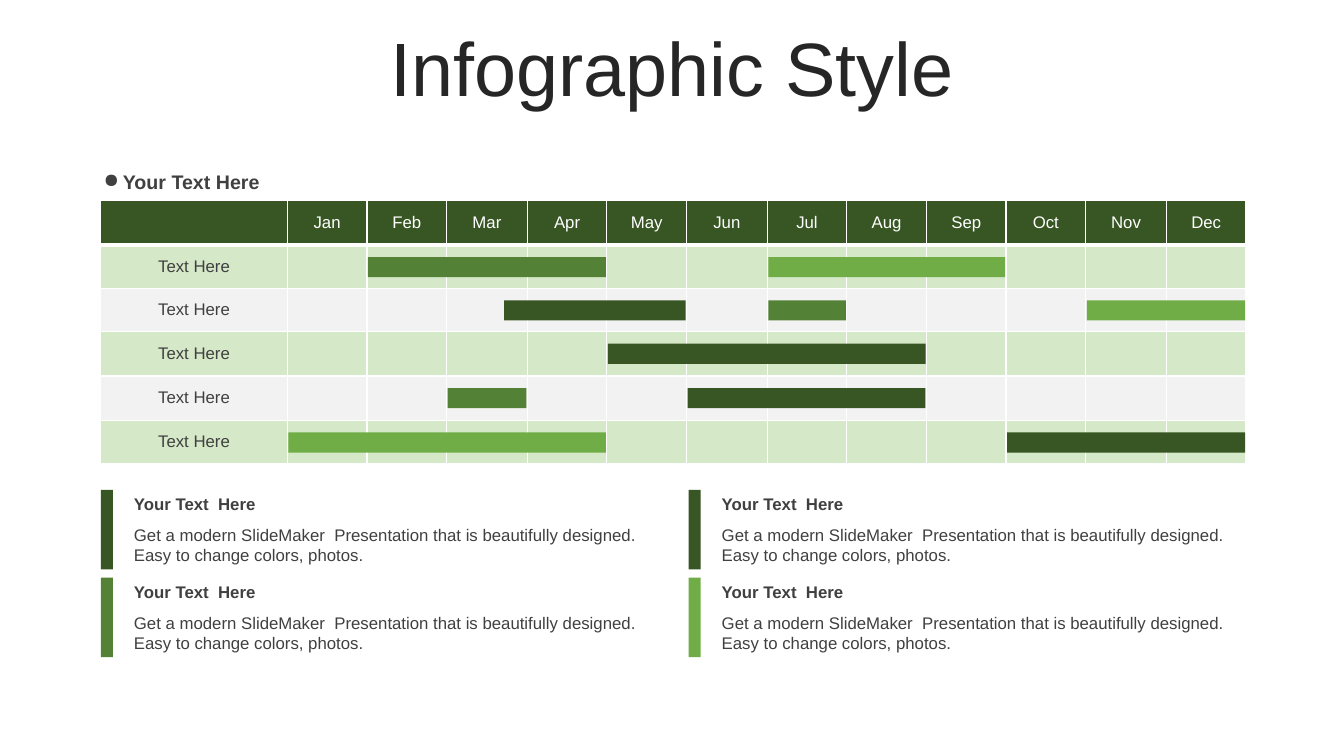
from dataclasses import dataclass

from pptx import Presentation
from pptx.dml.color import RGBColor
from pptx.enum.shapes import MSO_SHAPE as Preset
from pptx.enum.text import MSO_ANCHOR as Anchor, PP_ALIGN as Align
from pptx.oxml.ns import qn
from pptx.slide import Slide
from pptx.table import _Cell as Cell
from pptx.text.text import _Paragraph as Paragraph, TextFrame
from pptx.util import Pt
from lxml.etree import SubElement

PX = 9144  # 100 px to the inch
FONT = "Arial"

WHITE = RGBColor(0xFF, 0xFF, 0xFF)
TITLE_INK = RGBColor(0x26, 0x26, 0x26)
INK = RGBColor(0x40, 0x40, 0x40)
DARK_GREEN = RGBColor(0x37, 0x56, 0x23)
MID_GREEN = RGBColor(0x53, 0x81, 0x35)
LIGHT_GREEN = RGBColor(0x70, 0xAD, 0x47)
PALE_GREEN = RGBColor(0xD5, 0xE8, 0xC8)
PALE_GREY = RGBColor(0xF2, 0xF2, 0xF2)

MONTHS = ["Jan", "Feb", "Mar", "Apr", "May", "Jun",
          "Jul", "Aug", "Sep", "Oct", "Nov", "Dec"]
TASKS = ["Text Here"] * 5
TABLE_LEFT, TABLE_TOP, TABLE_WIDTH, TABLE_HEIGHT = 100, 199, 1136, 261
TASK_WIDTH = 185
BAR_HEIGHT, BAR_OFFSET = 20, 12
NOTE_TITLE = "Your Text  Here"
NOTE_BODY = ("Get a modern SlideMaker  Presentation that is beautifully designed. "
             "Easy to change colors, photos.")


@dataclass(frozen=True)
class Bar:
    """A task's time span, counted in months from the start of January."""
    row: int
    start: float
    end: float
    color: RGBColor


@dataclass(frozen=True)
class Note:
    left: int
    top: int
    color: RGBColor


BARS = [
    Bar(1, 1, 4, MID_GREEN),
    Bar(1, 6, 9, LIGHT_GREEN),
    Bar(2, 2.7, 5, DARK_GREEN),
    Bar(2, 6, 7, MID_GREEN),
    Bar(2, 10, 12, LIGHT_GREEN),
    Bar(3, 4, 8, DARK_GREEN),
    Bar(4, 2, 3, MID_GREEN),
    Bar(4, 5, 8, DARK_GREEN),
    Bar(5, 0, 4, LIGHT_GREEN),
    Bar(5, 9, 12, DARK_GREEN),
]
NOTES = [
    Note(100, 486, DARK_GREEN),
    Note(683, 486, DARK_GREEN),
    Note(100, 573, MID_GREEN),
    Note(683, 573, LIGHT_GREEN),
]


def month_edge(month: float) -> int:
    """Horizontal px at which a month starts."""
    return TABLE_LEFT + TASK_WIDTH + round((TABLE_WIDTH - TASK_WIDTH) * month / len(MONTHS))


def row_edge(row: int) -> int:
    return TABLE_TOP + round(TABLE_HEIGHT * row / (len(TASKS) + 1))


def add_run(paragraph: Paragraph, text: str, size: int, color: RGBColor,
            bold: bool = False) -> None:
    run = paragraph.add_run()
    run.text = text
    run.font.name = FONT
    run.font.size = Pt(size)
    run.font.bold = bold
    run.font.color.rgb = color


def add_text_frame(slide: Slide, left: int, top: int, width: int, height: int) -> TextFrame:
    box = slide.shapes.add_textbox(left * PX, top * PX, width * PX, height * PX)
    box.text_frame.word_wrap = True
    return box.text_frame


def add_block(slide: Slide, left: int, top: int, width: int, height: int,
              color: RGBColor) -> None:
    shape = slide.shapes.add_shape(Preset.RECTANGLE, left * PX, top * PX,
                                   width * PX, height * PX)
    shape.shadow.inherit = False
    shape.fill.solid()
    shape.fill.fore_color.rgb = color
    shape.line.fill.background()


def add_title(slide: Slide) -> None:
    frame = add_text_frame(slide, 55, 32, 1223, 79)
    frame.vertical_anchor = Anchor.MIDDLE
    paragraph = frame.paragraphs[0]
    paragraph.alignment = Align.CENTER
    paragraph.line_spacing = 0.9
    add_run(paragraph, "Infographic Style", 54, TITLE_INK)


def add_heading(slide: Slide) -> None:
    paragraph = add_text_frame(slide, 93, 164, 397, 34).paragraphs[0]
    properties = paragraph._p.get_or_add_pPr()
    properties.set("marL", str(19 * PX))
    properties.set("indent", str(-19 * PX))
    SubElement(properties, qn("a:buChar"), char="●")
    add_run(paragraph, "Your Text Here", 14, INK, bold=True)


def style_cell(cell: Cell, fill: RGBColor, bottom_width: int) -> None:
    """Give the cell white borders and a fill, in the order the schema asks for."""
    properties = cell._tc.get_or_add_tcPr()
    for side, width in (("lnL", 1), ("lnR", 1), ("lnT", 1), ("lnB", bottom_width)):
        line = SubElement(properties, qn(f"a:{side}"), w=str(Pt(width)))
        line_fill = SubElement(line, qn("a:solidFill"))
        SubElement(line_fill, qn("a:srgbClr"), val=str(WHITE))
    cell.fill.solid()
    cell.fill.fore_color.rgb = fill
    cell.vertical_anchor = Anchor.MIDDLE


def add_schedule(slide: Slide) -> None:
    contents = [["", *MONTHS]] + [[task] + [""] * len(MONTHS) for task in TASKS]
    table = slide.shapes.add_table(
        len(contents), len(contents[0]), TABLE_LEFT * PX, TABLE_TOP * PX,
        TABLE_WIDTH * PX, TABLE_HEIGHT * PX).table
    table.columns[0].width = TASK_WIDTH * PX
    for month in range(len(MONTHS)):
        table.columns[month + 1].width = (month_edge(month + 1) - month_edge(month)) * PX
    for row, texts in enumerate(contents):
        table.rows[row].height = (row_edge(row + 1) - row_edge(row)) * PX
        is_header = row == 0
        fill = DARK_GREEN if is_header else PALE_GREEN if row % 2 else PALE_GREY
        for column, text in enumerate(texts):
            cell = table.cell(row, column)
            style_cell(cell, fill, 3 if is_header else 1)
            if text:
                paragraph = cell.text_frame.paragraphs[0]
                paragraph.alignment = Align.CENTER
                add_run(paragraph, text, 12, WHITE if is_header else INK)


def add_bar(slide: Slide, bar: Bar) -> None:
    left = month_edge(bar.start) + 1
    right = month_edge(bar.end) - 1
    add_block(slide, left, row_edge(bar.row) + BAR_OFFSET, right - left, BAR_HEIGHT, bar.color)


def add_note(slide: Slide, note: Note) -> None:
    add_block(slide, note.left, note.top, 12, 79, note.color)
    text_left = note.left + 23
    title = add_text_frame(slide, text_left, note.top - 1, 528, 30)
    add_run(title.paragraphs[0], NOTE_TITLE, 12, INK, bold=True)
    body = add_text_frame(slide, text_left, note.top + 30, 528, 50)
    add_run(body.paragraphs[0], NOTE_BODY, 12, INK)


def main() -> None:
    presentation = Presentation()
    presentation.slide_width = 1333 * PX
    presentation.slide_height = 750 * PX
    slide = presentation.slides.add_slide(presentation.slide_layouts[6])
    add_title(slide)
    add_schedule(slide)
    for bar in BARS:
        add_bar(slide, bar)
    add_heading(slide)
    for note in NOTES:
        add_note(slide, note)
    presentation.save("out.pptx")


if __name__ == "__main__":
    main()
